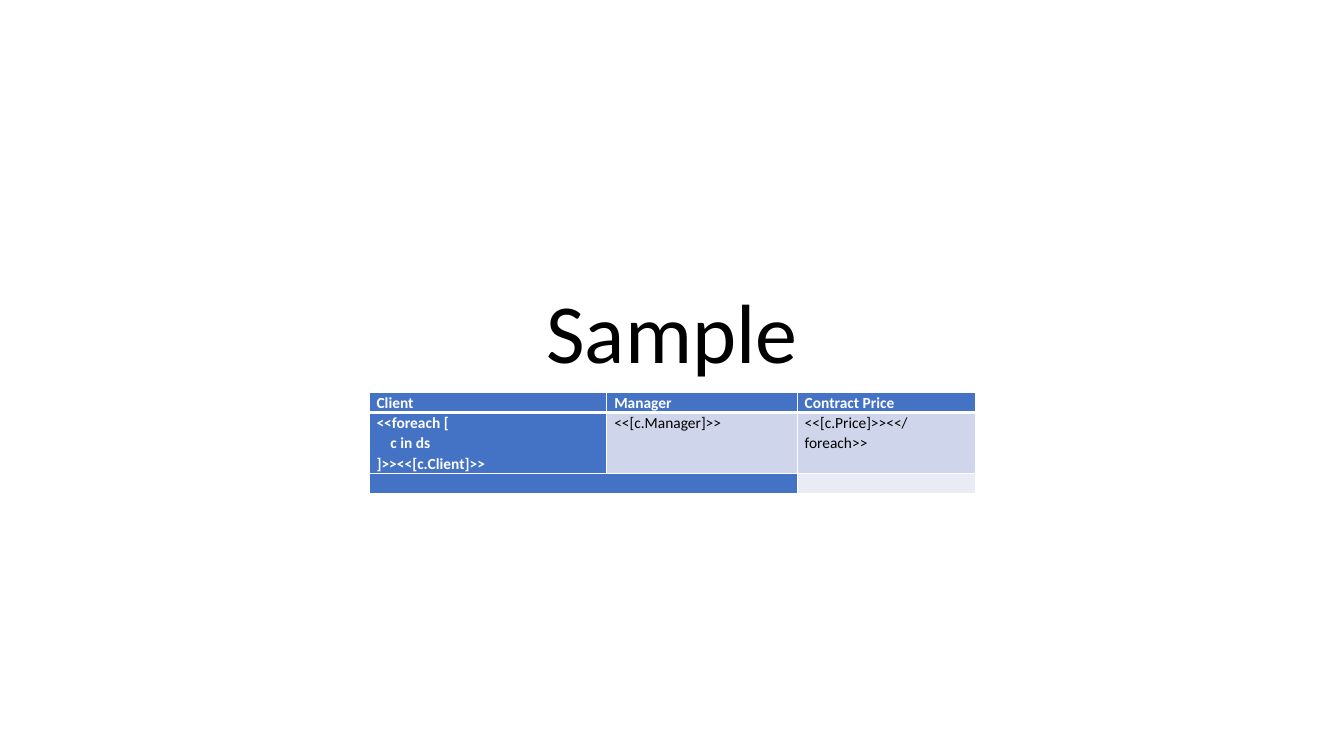
from dataclasses import dataclass

from lxml import etree
from pptx import Presentation
from pptx.dml.color import RGBColor
from pptx.enum.text import MSO_ANCHOR, PP_ALIGN
from pptx.oxml.ns import qn
from pptx.util import Cm, Pt

LEFT, CENTER = PP_ALIGN.LEFT, PP_ALIGN.CENTER
TOP, BOTTOM = MSO_ANCHOR.TOP, MSO_ANCHOR.BOTTOM


@dataclass(frozen=True)
class Theme:
    font: str = "Calibri"
    title_size: int = 60
    cell_size: int = 11
    dark: str = "000000"
    light: str = "FFFFFF"
    accent: str = "4472C4"
    band: str = "CFD5EA"
    pale_band: str = "E9EBF5"


THEME = Theme()
COLUMNS = [Cm(5.99), Cm(4.8), Cm(4.5)]
ROWS = [Cm(0.51), Cm(1.53), Cm(0.51)]
CELLS = [
    ["Client", "Manager", "Contract Price"],
    ["<<foreach [\n    c in ds\n]>><<[c.Client]>>", "<<[c.Manager]>>",
     "<<[c.Price]>><</\nforeach>>"],
    ["", "", ""],
]


def write(tf, text, size, color=THEME.dark, bold=False, align=LEFT, spacing=1.0):
    tf.word_wrap = True
    for i, line in enumerate(text.split("\n")):
        p = tf.add_paragraph() if i else tf.paragraphs[0]
        p.alignment = align
        p.line_spacing = spacing
        if not line:
            etree.SubElement(p._p, qn("a:endParaRPr"), sz=str(size * 100))
            continue
        r = p.add_run()
        r.text = line
        r.font.name = THEME.font
        r.font.size = Pt(size)
        r.font.bold = bold
        r.font.color.rgb = RGBColor.from_string(color)


def set_borders(cell, bottom):
    tc_pr = cell._tc.get_or_add_tcPr()
    for side, width in (("L", 1), ("R", 1), ("T", 1), ("B", bottom)):
        ln = etree.SubElement(tc_pr, qn(f"a:ln{side}"), w=str(Pt(width)))
        fill = etree.SubElement(ln, qn("a:solidFill"))
        etree.SubElement(fill, qn("a:srgbClr"), val=THEME.light)


def format_cell(cell, text, row, col):
    accented = row == 0 or col == 0
    band = THEME.band if row % 2 else THEME.pale_band
    set_borders(cell, bottom=1 if row else 3)
    cell.fill.solid()
    cell.fill.fore_color.rgb = RGBColor.from_string(THEME.accent if accented else band)
    cell.margin_left = cell.margin_right = Cm(0.19)
    cell.margin_top = cell.margin_bottom = 0
    cell.vertical_anchor = TOP
    write(cell.text_frame, text, THEME.cell_size, bold=accented, spacing=1.07,
          color=THEME.light if accented else THEME.dark)


def add_title(s, text):
    sp = s.shapes.title
    sp.left, sp.top, sp.width, sp.height = Cm(4.23), Cm(3.12), Cm(25.4), Cm(6.63)
    sp.text_frame.vertical_anchor = BOTTOM
    write(sp.text_frame, text, THEME.title_size, align=CENTER, spacing=0.9)


def add_contract_table(s):
    table = s.shapes.add_table(len(ROWS), len(COLUMNS), Cm(9.3), Cm(9.88),
                               sum(COLUMNS), sum(ROWS)).table
    for column, width in zip(table.columns, COLUMNS):
        column.width = width
    for row, height in zip(table.rows, ROWS):
        row.height = height
    for i, texts in enumerate(CELLS):
        for j, text in enumerate(texts):
            format_cell(table.cell(i, j), text, i, j)
    table.cell(2, 0).merge(table.cell(2, 1))


def main():
    prs = Presentation()
    prs.slide_width, prs.slide_height = Cm(33.87), Cm(19.05)
    s = prs.slides.add_slide(prs.slide_layouts[0])
    subtitle = s.placeholders[1].element
    subtitle.getparent().remove(subtitle)
    add_title(s, "Sample")
    add_contract_table(s)
    prs.save("out.pptx")


if __name__ == "__main__":
    main()
